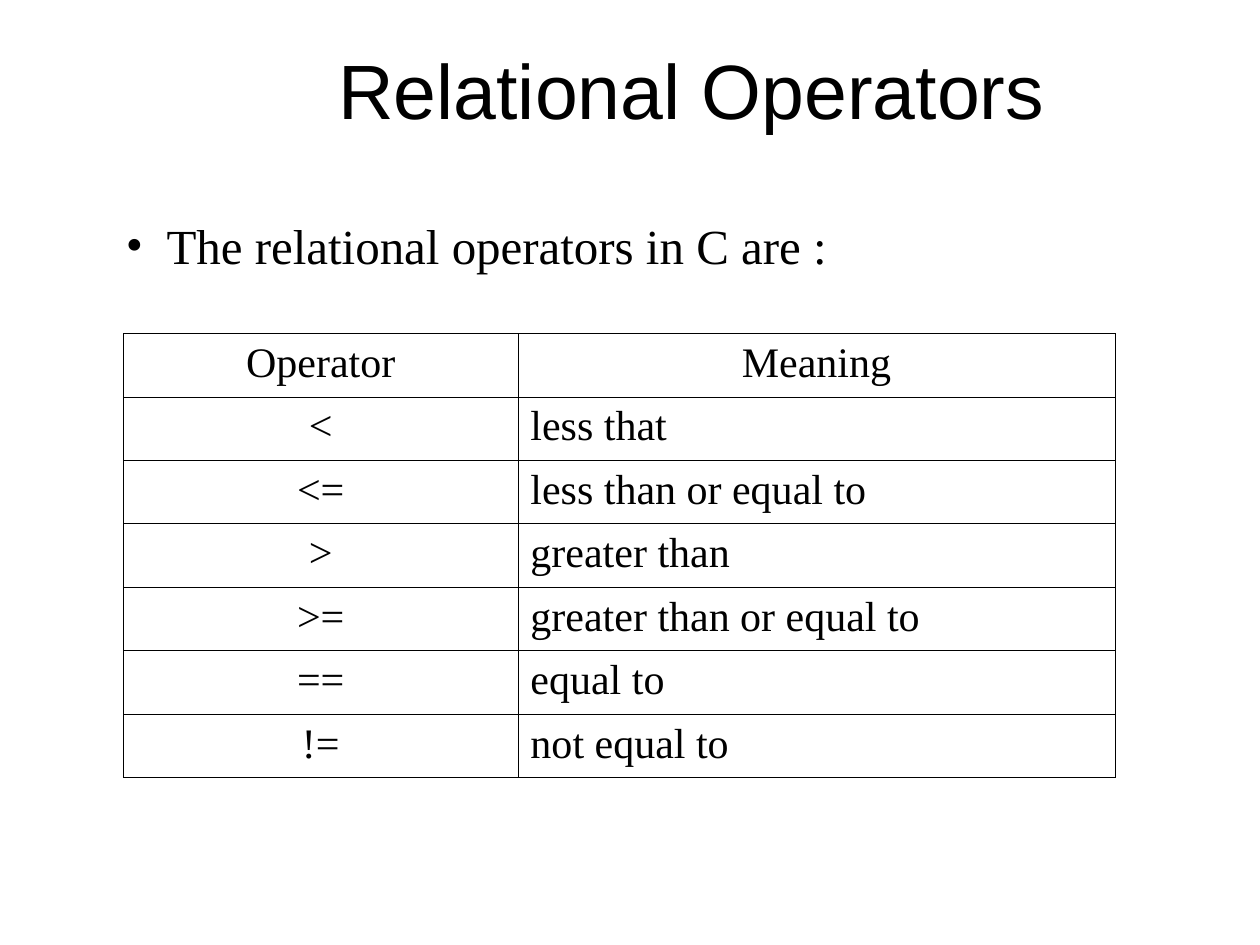
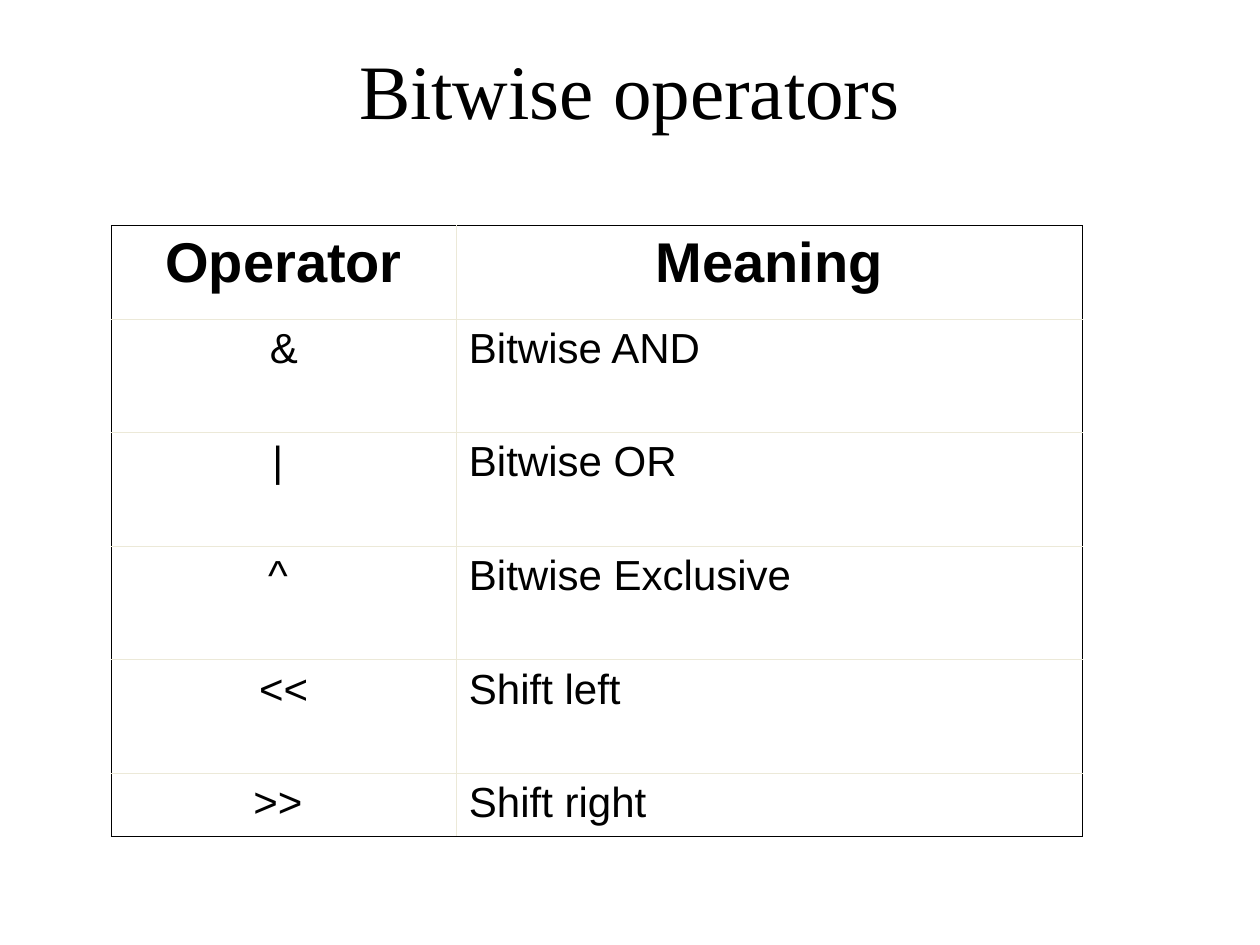
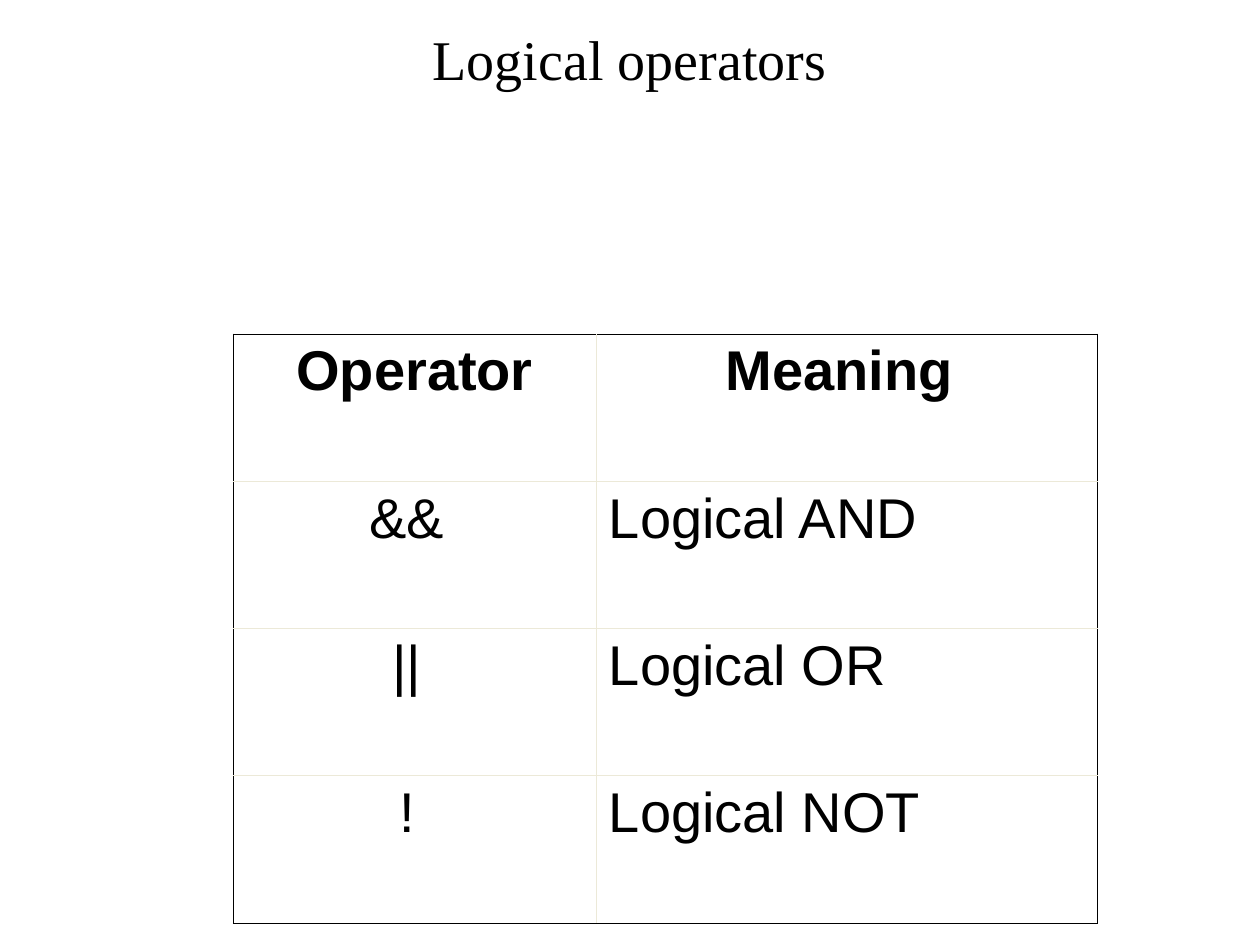
from lxml import etree
from pptx import Presentation
from pptx.dml.color import RGBColor
from pptx.enum.text import MSO_ANCHOR, MSO_AUTO_SIZE, PP_ALIGN
from pptx.oxml.ns import qn
from pptx.util import Cm, Pt

CENTER, LEFT = PP_ALIGN.CENTER, PP_ALIGN.LEFT
TOP, MIDDLE = MSO_ANCHOR.TOP, MSO_ANCHOR.MIDDLE
NO_FIT = MSO_AUTO_SIZE.NONE
TITLE_ONLY = 5

COLORS = {"text": "000000", "paper": "FFFFFF", "frame": "000000", "grid": "ECE9D8"}
SERIF, SANS = "Times New Roman", "Arial"
TITLE_BOX = (1.9, 0.2, 21.59, 3.18)
BULLET_BOX = (2.29, 4.22, 16.61, 1.45)
BORDER_WIDTH = Pt(0.45)

# Content: lengths in centimetres, text formats as font attributes.
# A single space after a centred entry belongs to its text.
SLIDES = [
    {
        "title": "Relational Operators",
        "title_font": {"name": SANS, "size": Pt(44)},
        "title_indent": 2.5,
        "bullet": "The relational operators in C are :",
        "position": (2.49, 6.72),
        "columns": (7.95, 12.04),
        "row_heights": [1.28] * 7,
        "header_font": {"name": SERIF, "size": Pt(24), "bold": False},
        "body_font": {"name": SERIF, "size": Pt(24), "bold": False},
        "fill": None,
        "inner_border": "frame",
        "rows": [
            ("Operator", "Meaning"),
            ("<", "less that"),
            ("<=", "less than or equal to"),
            (">", "greater than"),
            (">=", "greater than or equal to"),
            ("==", "equal to"),
            ("!=", "not equal to"),
        ],
    },
    {
        "title": "Bitwise operators",
        "title_font": {"name": SERIF, "size": Pt(44)},
        "position": (2.24, 4.55),
        "columns": (6.96, 12.62),
        "row_heights": [1.88] + [2.29] * 4 + [1.27],
        "header_font": {"name": SANS, "size": Pt(32), "bold": True},
        "body_font": {"name": SANS, "size": Pt(24), "bold": False},
        "fill": "paper",
        "inner_border": "grid",
        "rows": [
            ("Operator", "Meaning"),
            ("&", "Bitwise AND"),
            ("| ", "Bitwise OR"),
            ("^ ", "Bitwise Exclusive"),
            ("<<", "Shift left"),
            (">> ", "Shift right"),
        ],
    },
    {
        "title": "Logical operators",
        "title_font": {"name": SERIF, "size": Pt(32)},
        "title_frame": {"vertical_anchor": TOP, "margin_top": Cm(0.29)},
        "position": (4.7, 6.73),
        "columns": (7.32, 10.11),
        "row_heights": [2.97] * 4,
        "header_font": {"name": SANS, "size": Pt(32), "bold": True},
        "body_font": {"name": SANS, "size": Pt(32), "bold": False},
        "fill": "paper",
        "inner_border": "grid",
        "rows": [
            ("Operator", "Meaning "),
            ("&& ", "Logical AND"),
            ("|| ", "Logical OR"),
            ("! ", "Logical NOT"),
        ],
    },
]


def color(name):
    return RGBColor.from_string(COLORS[name])


def set_attributes(target, values):
    for name, value in values.items():
        setattr(target, name, value)


def write(text_frame, text, font, alignment):
    """Put one formatted paragraph into a text frame and return it."""
    paragraph = text_frame.paragraphs[0]
    paragraph.alignment = alignment
    run = paragraph.add_run()
    run.text = text
    set_attributes(run.font, font)
    run.font.color.rgb = color("text")
    return paragraph


def add_title(slide, content):
    title = slide.shapes.title
    title.left, title.top, title.width, title.height = map(Cm, TITLE_BOX)
    frame = {"auto_size": NO_FIT, "word_wrap": True, "vertical_anchor": MIDDLE}
    set_attributes(title.text_frame, frame | content.get("title_frame", {}))
    paragraph = write(title.text_frame, content["title"], content["title_font"], CENTER)
    if "title_indent" in content:
        paragraph._p.get_or_add_pPr().set("marL", str(Cm(content["title_indent"])))


def add_bullet(slide, text):
    box = slide.shapes.add_textbox(*map(Cm, BULLET_BOX))
    set_attributes(box.text_frame, {"word_wrap": True, "vertical_anchor": MIDDLE})
    paragraph = write(box.text_frame, text, {"name": SERIF, "size": Pt(28)}, LEFT)
    properties = paragraph._p.get_or_add_pPr()
    indent = Cm(0.82)
    properties.set("marL", str(indent))
    properties.set("indent", str(-indent))
    etree.SubElement(properties, qn("a:buFont"), typeface=SERIF)
    etree.SubElement(properties, qn("a:buChar"), char="•")


def set_borders(cell, borders):
    """Draw the cell edges; they come before the fill in the cell's XML."""
    properties = cell._tc.get_or_add_tcPr()
    for index, (edge, name) in enumerate(borders.items()):
        line = etree.Element(qn(f"a:{edge}"), w=str(BORDER_WIDTH))
        fill = etree.SubElement(line, qn("a:solidFill"))
        etree.SubElement(fill, qn("a:srgbClr"), val=COLORS[name])
        properties.insert(index, line)


def add_operator_table(slide, content):
    rows, columns, heights = content["rows"], content["columns"], content["row_heights"]
    size = (sum(columns), sum(heights))
    table = slide.shapes.add_table(
        len(rows), len(columns), *map(Cm, content["position"] + size)
    ).table
    set_attributes(table, {"first_row": False, "horz_banding": False})
    for column, width in zip(table.columns, columns):
        column.width = Cm(width)
    for row, height in zip(table.rows, heights):
        row.height = Cm(height)

    last_row, last_column = len(rows) - 1, len(columns) - 1
    for i, texts in enumerate(rows):
        font = content["body_font" if i else "header_font"]
        for j, text in enumerate(texts):
            cell = table.cell(i, j)
            write(cell.text_frame, text, font, LEFT if i and j else CENTER)
            if content["fill"]:
                cell.fill.solid()
                cell.fill.fore_color.rgb = color(content["fill"])
            else:
                cell.fill.background()
            # Outer edges get the frame colour, the rest the inner one
            outer = {"lnL": j == 0, "lnR": j == last_column,
                     "lnT": i == 0, "lnB": i == last_row}
            set_borders(cell, {edge: "frame" if is_outer else content["inner_border"]
                               for edge, is_outer in outer.items()})


presentation = Presentation()
presentation.slide_width, presentation.slide_height = Cm(25.4), Cm(19.05)
for content in SLIDES:
    slide = presentation.slides.add_slide(presentation.slide_layouts[TITLE_ONLY])
    add_title(slide, content)
    add_operator_table(slide, content)
    if "bullet" in content:
        add_bullet(slide, content["bullet"])
presentation.save("out.pptx")
